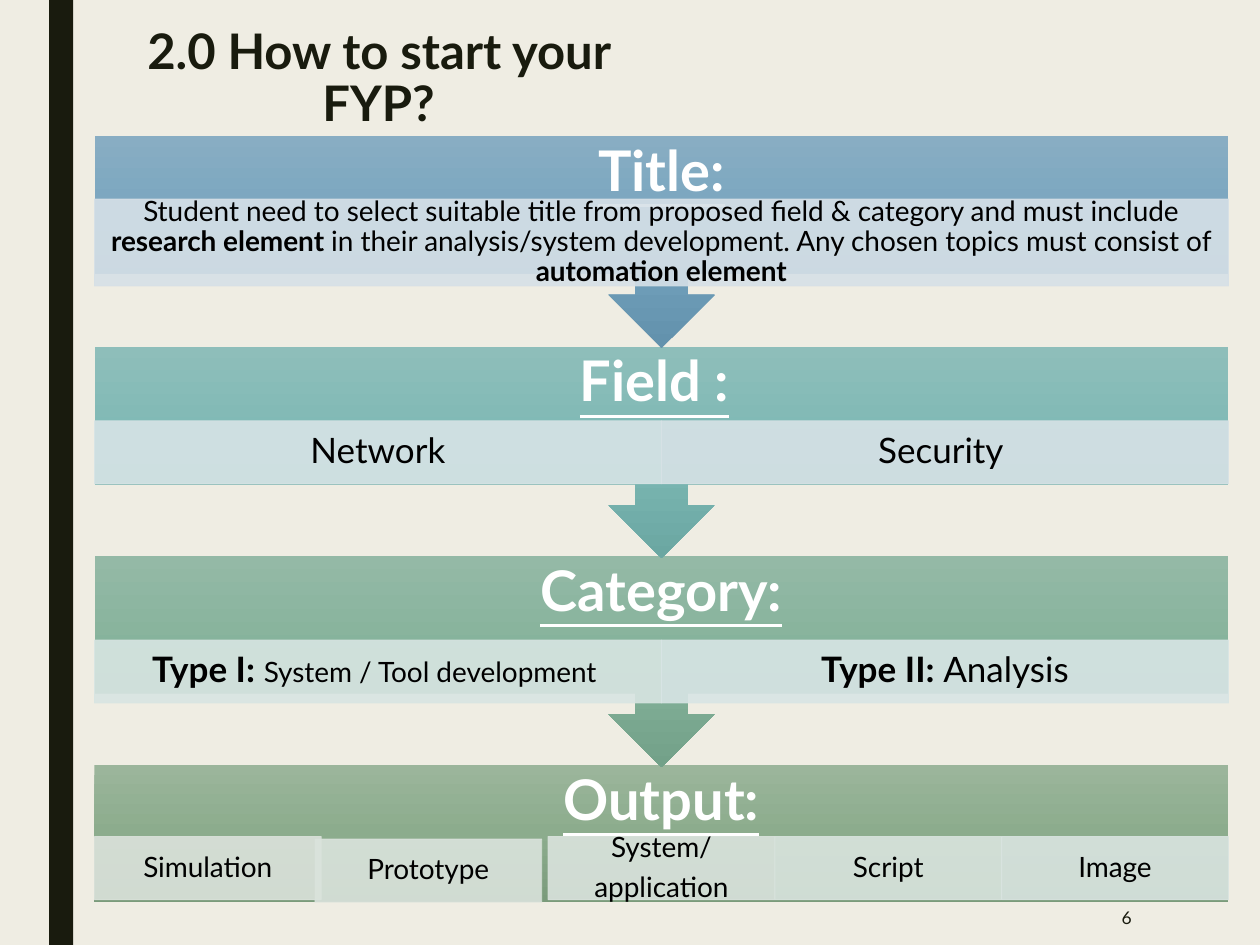
import copy

import pptx
import pptx.dml.color
import pptx.enum.shapes
import pptx.enum.text
import pptx.oxml
import pptx.oxml.ns
import pptx.util
from pptx.util import Inches

RGBColor = pptx.dml.color.RGBColor
SHAPES = pptx.enum.shapes.MSO_SHAPE
ALIGN = pptx.enum.text.PP_ALIGN
ANCHOR = pptx.enum.text.MSO_ANCHOR
qn = pptx.oxml.ns.qn

FONT = "Lato"
CREAM = RGBColor(0xEF, 0xED, 0xE3)
DARK = RGBColor(0x19, 0x1B, 0x0E)
WHITE = RGBColor(0xFF, 0xFF, 0xFF)
BLACK = RGBColor(0, 0, 0)
BLUES = [RGBColor(0x88, 0xAD, 0xC3), RGBColor(0x74, 0xA3, 0xBE), RGBColor(0x63, 0x92, 0xAD)]
TEALS = [RGBColor(0x8E, 0xBE, 0xBA), RGBColor(0x7C, 0xB8, 0xB4), RGBColor(0x6B, 0xA7, 0xA2)]
GREENS = [RGBColor(0x94, 0xB9, 0xA6), RGBColor(0x84, 0xB2, 0x9A), RGBColor(0x73, 0xA1, 0x89)]
OLIVES = [RGBColor(0x9B, 0xB5, 0x9B), RGBColor(0x8C, 0xAC, 0x8D), RGBColor(0x7A, 0x9B, 0x7B)]
TITLE_TINT = RGBColor(0xD6, 0xE0, 0xE7)
FIELD_TINTS = [RGBColor(0xD7, 0xE4, 0xE6), RGBColor(0xD7, 0xE2, 0xE6)]
CATEGORY_TINTS = [RGBColor(0xD8, 0xE5, 0xE2), RGBColor(0xD8, 0xE5, 0xE5)]
OUTPUT_TINTS = [RGBColor(0xDB, 0xE2, 0xDB), RGBColor(0xDA, 0xE3, 0xDC), RGBColor(0xDA, 0xE3, 0xDD),
                RGBColor(0xD9, 0xE4, 0xDE), RGBColor(0xD9, 0xE4, 0xE0)]

LEFT, WIDTH = 0.75, 9
STEP_HEIGHT = 1.68
HEADER_HEIGHT = 0.59


def write(shape, paragraphs, color, align=ALIGN.CENTER, anchor=ANCHOR.MIDDLE, insets=(0.1, 0.05), spacing=0.9):
    """Fill a shape with paragraphs of (text, size, bold, underline) runs."""
    frame = shape.text_frame
    frame.word_wrap = True
    frame.vertical_anchor = anchor
    frame.margin_left = frame.margin_right = Inches(insets[0])
    frame.margin_top = frame.margin_bottom = Inches(insets[1])
    for index, runs in enumerate(paragraphs):
        paragraph = frame.add_paragraph() if index else frame.paragraphs[0]
        paragraph.alignment = align
        paragraph.line_spacing = spacing
        if index < len(paragraphs) - 1:
            paragraph.space_after = pptx.util.Pt(0.35 * runs[0][1])
        for text, size, bold, underline in runs:
            run = paragraph.add_run()
            run.text = text
            run.font.name = FONT
            run.font.size = pptx.util.Pt(size)
            run.font.bold = bold
            run.font.underline = underline
            run.font.color.rgb = color


def add_block(slide, kind, left, top, width, height):
    """Add a preset shape without shadow or outline."""
    shape = slide.shapes.add_shape(kind, Inches(left), Inches(top), Inches(width), Inches(height))
    shape.shadow.inherit = False
    shape.line.fill.background()
    return shape


def add_text(slide, left, top, width, height, paragraphs, color, **options):
    """Add a text box and write its paragraphs."""
    box = slide.shapes.add_textbox(Inches(left), Inches(top), Inches(width), Inches(height))
    write(box, paragraphs, color, **options)


def add_chip(slide, left, top, width, height, tint, paragraphs, insets):
    """Add a translucent tinted box with its text."""
    chip = add_block(slide, SHAPES.RECTANGLE, left, top, width, height)
    chip.fill.solid()
    chip.fill.fore_color.rgb = tint
    chip.line.color.rgb = tint
    chip.line.width = pptx.util.Pt(0.5)
    for color in chip._element.spPr.iter(qn("a:srgbClr")):
        pptx.oxml.parse_xml  # noqa
        alpha = color.makeelement(qn("a:alpha"), {"val": "90000"})
        color.append(alpha)
    write(chip, paragraphs, BLACK, insets=insets)


def shade(shape, colors):
    """Apply a three-stop gradient running from top to bottom of the slide."""
    shape.fill.gradient()
    shape.fill.gradient_angle = 270
    gradient = shape._element.spPr.find(qn("a:gradFill"))
    gradient.set("rotWithShape", "0")
    stops = gradient.find(qn("a:gsLst"))
    stops.append(copy.deepcopy(stops[0]))
    for index, (stop, color) in enumerate(zip(shape.fill.gradient_stops, colors)):
        stop.position = index / 2
        stop.color.rgb = color


def add_step(slide, top, heading, colors, chips, chip_offset, chip_height=0.5,
             insets=(0.16, 0.03), last=False, nudges=None):
    """Add one process step: banner, heading and a row of equal chips."""
    if last:
        banner = add_block(slide, SHAPES.RECTANGLE, LEFT, top, WIDTH, 1.09)
    else:
        banner = add_block(slide, SHAPES.UP_ARROW_CALLOUT, LEFT, top, WIDTH, STEP_HEIGHT)
        banner.rotation = 180
    shade(banner, colors)
    add_text(slide, LEFT, top, WIDTH, HEADER_HEIGHT, [heading], WHITE, insets=(0.25, 0.25))
    chip_width = WIDTH / len(chips)
    for index, (tint, paragraphs) in enumerate(chips):
        across, down = (nudges or {}).get(index, (0, 0))
        add_chip(slide, LEFT + index * chip_width + across, top + chip_offset + down,
                 chip_width, chip_height, tint, paragraphs, insets)


def add_frame(slide):
    """Add the background, side bar, title and slide number."""
    slide.background.fill.solid()
    slide.background.fill.fore_color.rgb = CREAM
    bar = add_block(slide, SHAPES.RECTANGLE, 0.39, 0, 0.19, 7.5)
    bar.fill.solid()
    bar.fill.fore_color.rgb = DARK
    add_text(slide, 0.67, 0.17, 4.67, 1.08, [[("2.0 How to start your FYP?", 28, True, False)]],
             DARK, anchor=ANCHOR.TOP, spacing=0.89)
    add_text(slide, 7.77, 7.06, 1.31, 0.44, [[("6", 10, False, False)]], DARK,
             align=ALIGN.RIGHT, spacing=1.0)


def add_process(slide):
    """Add the four steps from the last to the first, so arrows overlap the step below."""
    outputs = [["Simulation"], ["Prototype"], ["System/", "application"], ["Script"], ["Image"]]
    output_chips = [(tint, [[(line, 16, False, False)] for line in lines])
                    for tint, lines in zip(OUTPUT_TINTS, outputs)]
    add_step(slide, 6.07, [("Output:", 32, True, True)], OLIVES, output_chips, 0.57,
             insets=(0.12, 0.02), last=True, nudges={1: (-0.05, 0.02)})

    categories = [
        [("Type I: ", 20, True, False), ("System / Tool development ", 16, False, False)],
        [("Type II: ", 20, True, False), ("Analysis", 20, False, False)],
    ]
    category_chips = [(tint, [runs]) for tint, runs in zip(CATEGORY_TINTS, categories)]
    add_step(slide, 4.41, [("Category:", 32, True, True)], GREENS, category_chips, 0.67)

    field_chips = [(tint, [[(name, 20, False, False)]])
                   for tint, name in zip(FIELD_TINTS, ["Network", "Security "])]
    add_step(slide, 2.75, [("Field :", 32, True, True), (" ", 32, True, False)], TEALS, field_chips, 0.59)

    description = [
        ("Student need to select suitable title from proposed field & category and must include ",
         16, False, False),
        ("research element ", 16, True, False),
        ("in their analysis/system development. Any chosen topics must consist of ", 16, False, False),
        ("automation element", 16, True, False),
    ]
    add_step(slide, 1.08, [("Title:", 32, True, True)], BLUES, [(TITLE_TINT, [description])], 0.5,
             chip_height=0.69, insets=(0.12, 0.02))


def main():
    """Build the slide and save it."""
    presentation = pptx.Presentation()
    presentation.slide_width = Inches(10)
    presentation.slide_height = Inches(7.5)
    slide = presentation.slides.add_slide(presentation.slide_layouts[6])
    add_frame(slide)
    add_process(slide)
    presentation.save("out.pptx")


if __name__ == "__main__":
    main()
